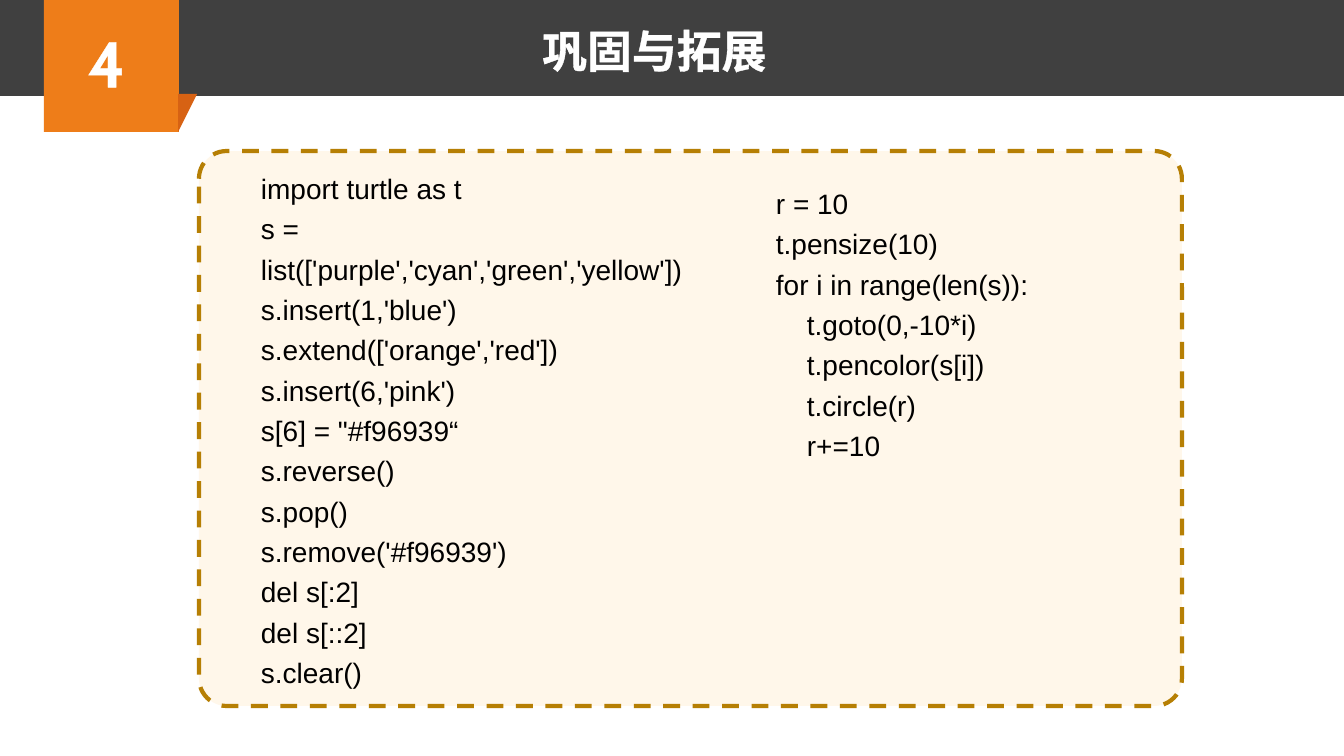
from lxml.etree import SubElement
from pptx import Presentation
from pptx.dml.color import RGBColor
from pptx.enum.dml import MSO_LINE
from pptx.enum.shapes import MSO_SHAPE
from pptx.enum.text import MSO_ANCHOR, MSO_AUTO_SIZE, PP_ALIGN
from pptx.oxml.ns import qn
from pptx.util import Emu, Pt

# Content
HEADING = "巩固与拓展"
SECTION = "4"
LIST_CODE = [
    "import turtle as t",
    "s = list(['purple','cyan','green','yellow'])",
    "s.insert(1,'blue')",
    "s.extend(['orange','red'])",
    "s.insert(6,'pink')",
    "s[6] = \"#f96939“",
    "s.reverse()",
    "s.pop()",
    "s.remove('#f96939')",
    "del s[:2]",
    "del s[::2]",
    "s.clear()",
]
DRAW_CODE = ["r = 10", "t.pensize(10)", "for i in range(len(s)):"]
LOOP_BODY = ["t.goto(0,-10*i)", "t.pencolor(s[i])", "t.circle(r)", "r+=10"]

# Format
COLORS = {"bar": "404040", "badge": "EE7D19", "fold": "D76213", "panel": "FFF7EA",
          "border": "B67F04", "light": "FFFFFF", "code": "000000"}
NUMBER_FONT = {"name": "Cabin", "size": Pt(46), "bold": True}
HEADING_FONT = {"name": "Lato", "size": Pt(32), "bold": True}
CODE_FONT = {"name": "Arial", "size": Pt(20)}
LOOP_INDENT = 31

# Places in px: left, top, width, height
BAR = (0, 0, 1344, 96)
BADGE = (44, 0, 135, 132)
FOLD = (178, 94, 19, 38)
NUMBER = (78, 18, 56, 89)
TITLE = (531, 18, 247, 65)
PANEL = (199, 151, 983, 555)
LIST_COLUMN = (251, 160, 461, 539)
DRAW_COLUMN = (766, 175, 330, 295)


def px(length):
    return Emu(round(length * 914400 / 100.8))


def color(key):
    return RGBColor.from_string(COLORS[key])


def add_block(kind, place, fill):
    block = slide.shapes.add_shape(kind, *map(px, place))
    block.shadow.inherit = False
    block.fill.solid()
    block.fill.fore_color.rgb = color(fill)
    block.line.fill.background()
    return block


def add_line(paragraph, text, font, ink):
    run = paragraph.add_run()
    run.text = text
    for attribute, value in font.items():
        setattr(run.font, attribute, value)
    run.font.color.rgb = color(ink)
    return run


def write_label(box, text, font):
    frame = box.text_frame
    frame.word_wrap = False
    frame.auto_size = MSO_AUTO_SIZE.SHAPE_TO_FIT_TEXT
    frame.vertical_anchor = MSO_ANCHOR.TOP
    paragraph = frame.paragraphs[0]
    paragraph.alignment = PP_ALIGN.CENTER
    run = add_line(paragraph, text, font, "light")
    # Thin outline in the text colour
    properties = run.font._element
    outline = SubElement(properties, qn("a:ln"), w=str(Pt(1.45)))
    fill = SubElement(outline, qn("a:solidFill"))
    SubElement(fill, qn("a:srgbClr"), val=COLORS["light"])
    properties.insert(0, outline)


def add_code(place, lines, indented=()):
    frame = slide.shapes.add_textbox(*map(px, place)).text_frame
    frame.word_wrap = True
    frame.auto_size = MSO_AUTO_SIZE.SHAPE_TO_FIT_TEXT
    for number, line in enumerate([*lines, *indented]):
        paragraph = frame.add_paragraph() if number else frame.paragraphs[0]
        paragraph.line_spacing = 1.2
        if number >= len(lines):
            paragraph._p.get_or_add_pPr().set("marL", str(px(LOOP_INDENT)))
        add_line(paragraph, line, CODE_FONT, "code")


deck = Presentation()
deck.slide_width, deck.slide_height = px(1344), px(756)
slide = deck.slides.add_slide(deck.slide_layouts[5])

# Header bar with the folded section badge
add_block(MSO_SHAPE.RECTANGLE, BAR, "bar")
add_block(MSO_SHAPE.RECTANGLE, BADGE, "badge")
fold = add_block(MSO_SHAPE.RIGHT_TRIANGLE, FOLD, "fold")
fold.rotation = 180
fold._element.spPr.xfrm.set("flipH", "1")
write_label(slide.shapes.add_textbox(*map(px, NUMBER)), SECTION, NUMBER_FONT)

# Title, brought in front of the bar
title = slide.shapes.title
title.left, title.top, title.width, title.height = map(px, TITLE)
write_label(title, HEADING, HEADING_FONT)
slide.shapes._spTree.append(title._element)

# Code panel with two columns
panel = add_block(MSO_SHAPE.ROUNDED_RECTANGLE, PANEL, "panel")
panel.adjustments[0] = 0.05
panel.line.color.rgb = color("border")
panel.line.width = Pt(3)
panel.line.dash_style = MSO_LINE.DASH
add_code(LIST_COLUMN, LIST_CODE)
add_code(DRAW_COLUMN, DRAW_CODE, LOOP_BODY)

deck.save("out.pptx")
